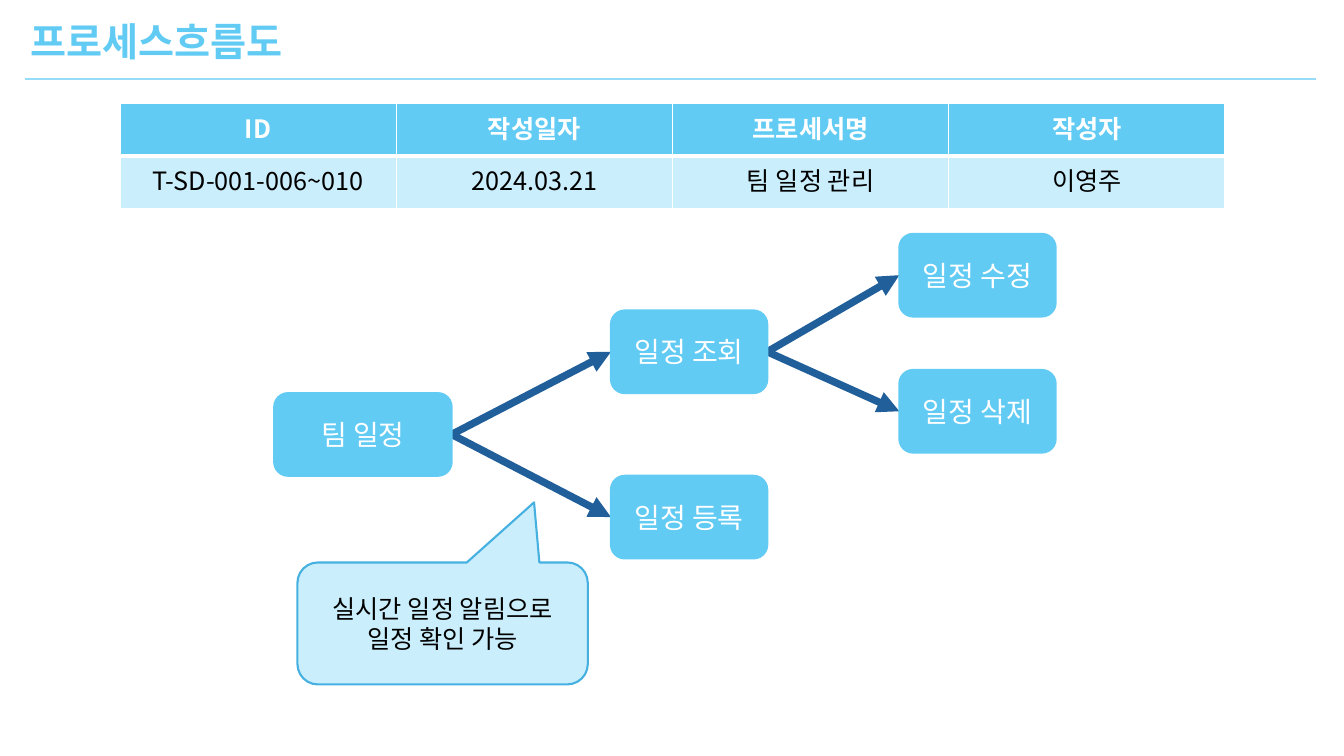
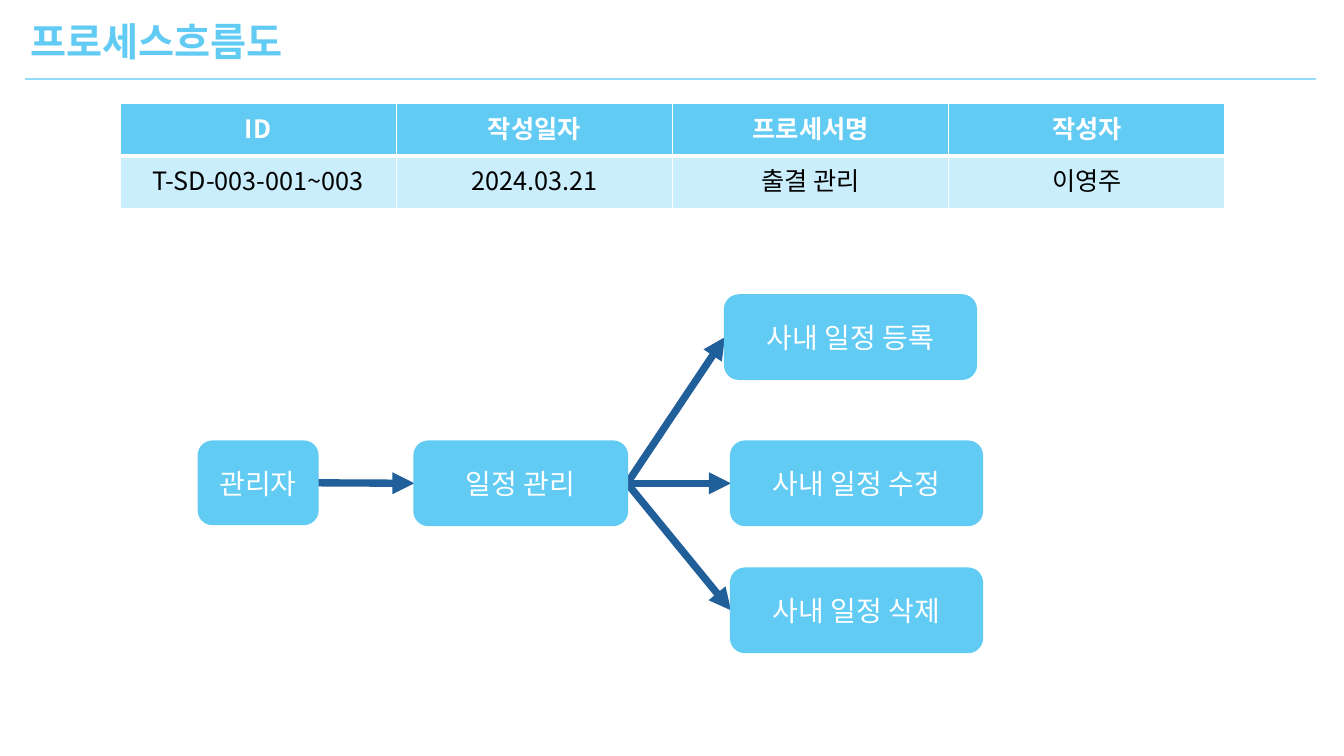
from lxml import etree
from pptx import Presentation
from pptx import util as u
from pptx.dml import color
from pptx.enum import shapes, text
from pptx.oxml import ns

FONT = "Noto Sans CJK KR"
COLORS = {
    "sky": "61CBF4",
    "pale": "CAEEFB",
    "rule": "96DCF8",
    "edge": "46B1E1",
    "arrow": "215F9A",
    "white": "FFFFFF",
    "black": "000000",
}
TITLE = "프로세스흐름도"
HEADINGS = ["ID", "작성일자", "프로세서명", "작성자"]
COLUMN_WIDTH, ROW_HEIGHT = 2.74, 0.52


def rgb(name):
    return color.RGBColor.from_string(COLORS[name])


def add_element(owner, tag, **attributes):
    return etree.SubElement(owner, ns.qn(tag), attributes)


class FlowDeck:
    """Holds the shared style and the slide being drawn."""

    def __init__(self):
        self.deck = Presentation()
        self.deck.slide_width = u.Inches(13.33)
        self.deck.slide_height = u.Inches(7.5)
        self.slide = None

    def add_words(self, frame, words, size, ink, bold=False,
                  align=text.PP_ALIGN.CENTER):
        para = frame.paragraphs[0]
        para.alignment = align
        span = para.add_run()
        span.text = words
        span.font.size = u.Pt(size)
        span.font.bold = bold
        span.font.color.rgb = rgb(ink)
        span.font.name = FONT
        # Korean letters take the East Asian font
        add_element(span.font._element, "a:ea", typeface=FONT)

    def line(self, start, end, ink, width):
        link = self.slide.shapes.add_connector(
            shapes.MSO_CONNECTOR.STRAIGHT, *map(u.Inches, start + end))
        link.line.color.rgb = rgb(ink)
        link.line.width = u.Pt(width)
        add_element(link.element.spPr, "a:effectLst")
        return link

    def page(self, record):
        """Start a slide with its title, rule and record table."""
        self.slide = self.deck.slides.add_slide(self.deck.slide_layouts[5])
        title = self.slide.shapes.title
        title.left, title.top = u.Inches(0.2), u.Inches(0.12)
        title.width, title.height = u.Inches(2.95), u.Inches(0.57)
        frame = title.text_frame
        frame.auto_size = text.MSO_AUTO_SIZE.NONE
        frame.vertical_anchor = text.MSO_ANCHOR.MIDDLE
        self.add_words(frame, TITLE, 28, "sky", True, text.PP_ALIGN.LEFT)
        self.line((0.25, 0.78), (13.05, 0.78), "rule", 1.5)
        self.table([HEADINGS, record])

    def table(self, rows):
        columns = len(rows[0])
        table = self.slide.shapes.add_table(
            len(rows), columns, u.Inches(1.19), u.Inches(1.03),
            u.Inches(COLUMN_WIDTH * columns),
            u.Inches(ROW_HEIGHT * len(rows))).table
        for column in table.columns:
            column.width = u.Inches(COLUMN_WIDTH)
        for y, row in enumerate(rows):
            table.rows[y].height = u.Inches(ROW_HEIGHT)
            header = y == 0
            for x, words in enumerate(row):
                cell = table.cell(y, x)
                # The edge under the header is the thick one
                self.borders(cell, top=1 if header else 3,
                             bottom=3 if header else 1)
                cell.fill.solid()
                cell.fill.fore_color.rgb = rgb("sky" if header else "pale")
                self.add_words(cell.text_frame, words, 18,
                               "white" if header else "black", header)

    def borders(self, cell, top, bottom):
        properties = cell._tc.get_or_add_tcPr()
        for side, width in zip("LRTB", (1, 1, top, bottom)):
            edge = add_element(properties, "a:ln" + side,
                               w=str(u.Pt(width)))
            fill = add_element(edge, "a:solidFill")
            add_element(fill, "a:srgbClr", val=COLORS["white"])

    def shape(self, kind, place, words, size, fill, edge, ink):
        box = self.slide.shapes.add_shape(kind, *map(u.Inches, place))
        box.shadow.inherit = False
        box.fill.solid()
        box.fill.fore_color.rgb = rgb(fill)
        box.line.color.rgb = rgb(edge)
        box.line.width = u.Pt(1.5)
        box.text_frame.word_wrap = True
        box.text_frame.vertical_anchor = text.MSO_ANCHOR.MIDDLE
        self.add_words(box.text_frame, words, size, ink)
        return box

    def step(self, words, left, top, width, height=0.82):
        return self.shape(shapes.MSO_SHAPE.ROUNDED_RECTANGLE,
                          (left, top, width, height), words, 20,
                          "sky", "sky", "white")

    def callout(self, words, place, adjustments):
        box = self.shape(shapes.MSO_SHAPE.ROUNDED_RECTANGULAR_CALLOUT,
                         place, words, 18, "pale", "edge", "black")
        for index, value in enumerate(adjustments):
            box.adjustments[index] = value

    def arrows(self, source, *targets):
        """Join the right side of a step to the left side of others."""
        for target in targets:
            link = self.line((0, 0), (1, 1), "arrow", 5.25)
            link.begin_connect(source, 3)
            link.end_connect(target, 1)
            add_element(link.line._get_or_add_ln(), "a:tailEnd",
                        type="triangle")
            # Arrows lie behind the steps
            self.slide.shapes.element.insert(2, link.element)


def main():
    flow = FlowDeck()

    # Team schedule
    flow.page(["T-SD-001-006~010", "2024.03.21", "팀 일정 관리", "이영주"])
    team = flow.step("팀 일정", 2.72, 3.9, 1.76)
    view, register, edit, delete = [
        flow.step(words, left, top, 1.55) for words, left, top in (
            ("일정 조회", 6.06, 3.08), ("일정 등록", 6.06, 4.72),
            ("일정 수정", 8.92, 2.32), ("일정 삭제", 8.92, 3.67))]
    flow.arrows(team, view, register)
    flow.arrows(view, edit, delete)
    flow.callout("실시간 일정 알림으로 일정 확인 가능",
                 (2.95, 5.58, 2.88, 1.21), (0.315, -0.993, 0.167))

    # Company schedule
    flow.page(["T-SD-003-001~003", "2024.03.21", "출결 관리", "이영주"])
    manager = flow.step("관리자", 1.97, 4.38, 1.18)
    manage = flow.step("일정 관리", 4.11, 4.38, 2.11, 0.83)
    actions = [flow.step("사내 일정 " + verb, left, top, 2.49, 0.83)
               for verb, left, top in (("등록", 7.19, 2.93),
                                       ("수정", 7.25, 4.38),
                                       ("삭제", 7.25, 5.64))]
    flow.arrows(manager, manage)
    flow.arrows(manage, *actions)

    flow.deck.save("out.pptx")


if __name__ == "__main__":
    main()
